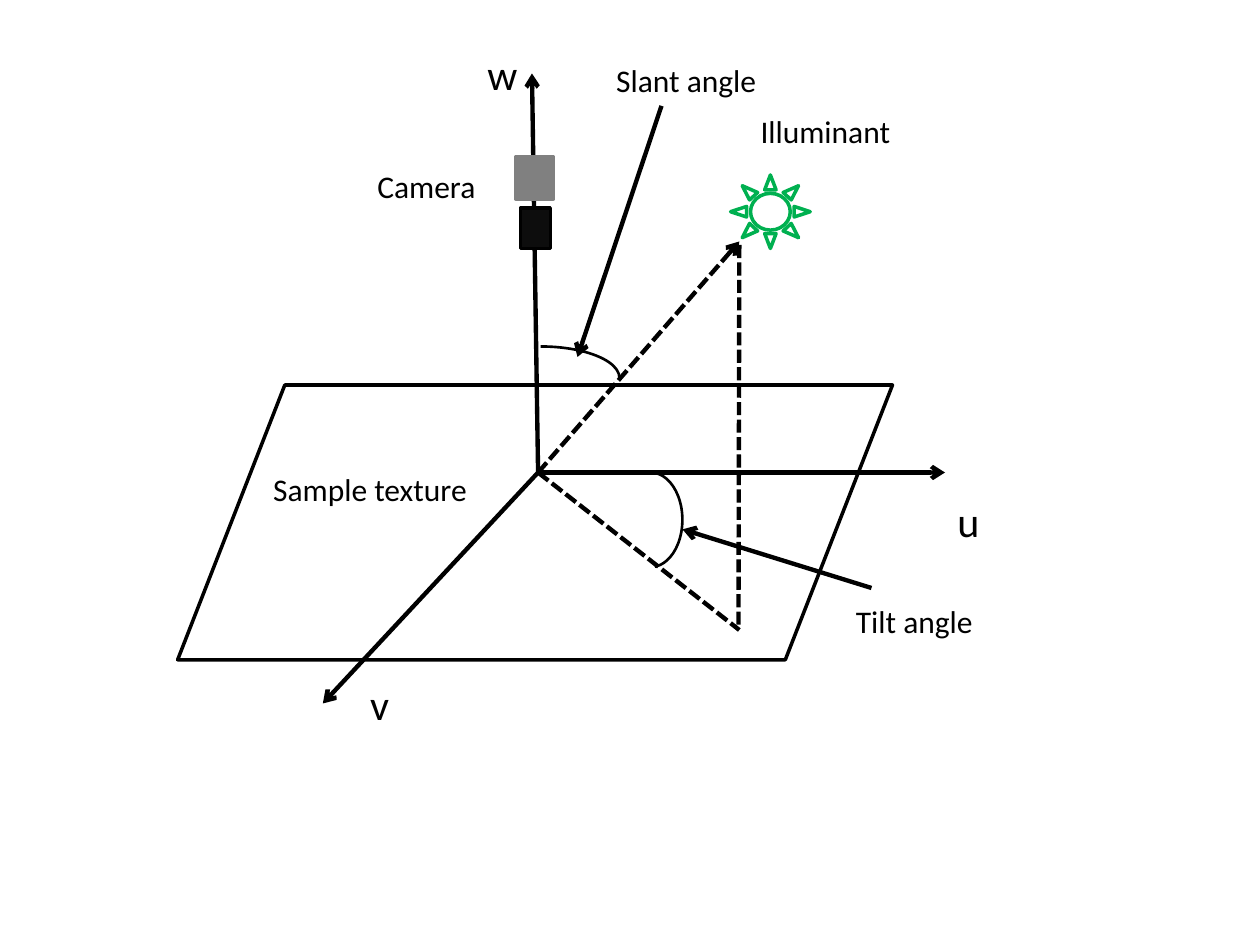
"""Build a slide that shows the slant and tilt angles of an illuminant."""
import dataclasses

import pptx
import pptx.dml.color
import pptx.enum.dml
import pptx.enum.shapes
import pptx.enum.text
import pptx.oxml
import pptx.oxml.ns
import pptx.util

Pt = pptx.util.Pt
SHAPE = pptx.enum.shapes.MSO_SHAPE


@dataclasses.dataclass(frozen=True)
class Theme:
    font: str = "Calibri"
    label_size: float = 18
    axis_size: float = 24
    ink: str = "000000"
    camera_body: str = "808080"
    camera_lens: str = "0D0D0D"
    light: str = "00B050"
    axis_width: float = 2.5
    outline_width: float = 2
    arc_width: float = 1.5


def write_text(frame, text, *, font, size, color):
    run = frame.paragraphs[0].add_run()
    run.text = text
    run.font.name = font
    run.font.size = Pt(size)
    run.font.color.rgb = pptx.dml.color.RGBColor.from_string(color)


class Diagram:
    def __init__(self, slide, theme):
        self.slide = slide
        self.theme = theme

    def style_line(self, line, color, width):
        line.color.rgb = pptx.dml.color.RGBColor.from_string(color)
        line.width = Pt(width)

    def line(self, start, end, arrow=True, dashed=False):
        connector = self.slide.shapes.add_connector(
            pptx.enum.shapes.MSO_CONNECTOR.STRAIGHT, *map(Pt, (*start, *end)))
        self.style_line(connector.line, self.theme.ink, self.theme.axis_width)
        if dashed:
            connector.line.dash_style = pptx.enum.dml.MSO_LINE.SQUARE_DOT
        properties = connector._element.spPr
        if arrow:
            tail = pptx.oxml.parse_xml(
                f'<a:tailEnd {pptx.oxml.ns.nsdecls("a")} type="arrow"/>')
            properties.find(pptx.oxml.ns.qn("a:ln")).append(tail)
        properties.append(pptx.oxml.parse_xml(
            f'<a:effectLst {pptx.oxml.ns.nsdecls("a")}/>'))

    def shape(self, kind, box, color, width, fill=None, adjustments=()):
        shape = self.slide.shapes.add_shape(kind, *map(Pt, box))
        shape.shadow.inherit = False
        self.style_line(shape.line, color, width)
        if fill:
            shape.fill.solid()
            shape.fill.fore_color.rgb = pptx.dml.color.RGBColor.from_string(fill)
        else:
            shape.fill.background()
        for index, value in enumerate(adjustments):
            shape.adjustments[index] = value

    def label(self, text, left, top, width, height=29, size=None):
        frame = self.slide.shapes.add_textbox(
            *map(Pt, (left, top, width, height))).text_frame
        frame.word_wrap = True
        frame.auto_size = pptx.enum.text.MSO_AUTO_SIZE.SHAPE_TO_FIT_TEXT
        write_text(frame, text, font=self.theme.font,
                   size=size or self.theme.label_size, color=self.theme.ink)


def main():
    presentation = pptx.Presentation()
    presentation.slide_width, presentation.slide_height = Pt(720), Pt(540)
    slide = presentation.slides.add_slide(presentation.slide_layouts[6])
    theme = Theme()
    diagram = Diagram(slide, theme)

    origin = (307.5, 270)
    illuminant = (422.5, 138)
    for axis_end in ((304, 42), (184.5, 402), (540, 270)):
        diagram.line(origin, axis_end)
    diagram.line(origin, illuminant, dashed=True)
    diagram.line(origin, (422.5, 360), arrow=False, dashed=True)
    diagram.line((422, 357), illuminant, arrow=False, dashed=True)

    diagram.shape(SHAPE.ARC, (264, 198, 90, 36), theme.ink, theme.arc_width)
    diagram.shape(SHAPE.ARC, (354, 270, 36, 54), theme.ink, theme.arc_width,
                  adjustments=(162, 51.14))
    for name, left, top in (("w", 271.5, 24), ("v", 204.5, 384), ("u", 540, 279.5)):
        diagram.label(name, left, top, 41, 36, theme.axis_size)

    diagram.shape(SHAPE.SUN, (417.5, 100, 45.5, 42), theme.light, theme.outline_width)
    diagram.shape(SHAPE.RECTANGLE, (295, 89.5, 21, 24.5), theme.camera_body,
                  theme.outline_width, fill=theme.camera_body)
    diagram.shape(SHAPE.RECTANGLE, (297.5, 119, 17, 23), theme.ink,
                  theme.outline_width, fill=theme.camera_lens)
    for text, left, top, width in (
        ("Illuminant", 427.5, 60.5, 198),
        ("Tilt angle", 482, 340.5, 99),
        ("Sample texture", 149, 265, 198),
        ("Camera", 208.5, 92, 79),
        ("Slant angle", 345, 31.5, 198),
    ):
        diagram.label(text, left, top, width)
    diagram.line((378, 60.5), (330, 204))
    diagram.line((498, 336), (390, 302.5))
    diagram.shape(SHAPE.PARALLELOGRAM, (101.5, 220, 408.5, 157), theme.ink,
                  theme.outline_width, adjustments=(0.39,))
    presentation.save("out.pptx")


if __name__ == "__main__":
    main()
